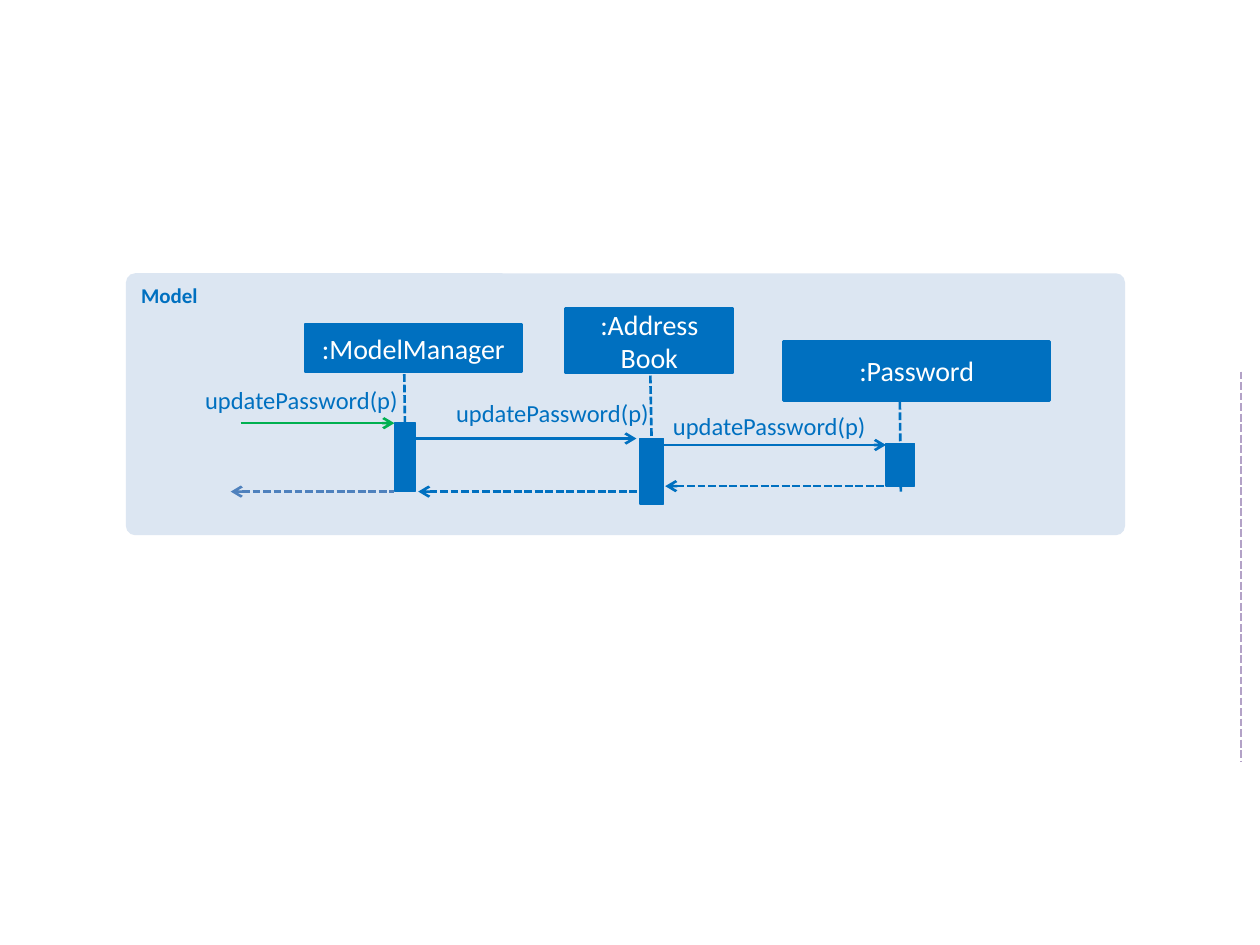
from typing import NamedTuple

from pptx import Presentation
from pptx import util as u
from pptx.dml.color import RGBColor
from pptx.enum import dml, shapes, text
from pptx.oxml.ns import qn
from lxml import etree

COLORS = {
    "panel": "DCE6F2",
    "model": "0070C0",
    "incoming": "00B050",
    "outgoing": "4F81BD",
    "divider": "B3A2C7",
    "white": "FFFFFF",
}
FONT = "Calibri"


class Box(NamedTuple):
    left: float
    top: float
    width: float
    height: float


class Participant(NamedTuple):
    lines: list[str]
    header: Box
    lifeline: tuple[float, float, float, float]
    activation: Box


class Message(NamedTuple):
    start: float
    end: float
    y: float
    color: str = "model"
    returns: bool = False


PARTICIPANTS = [
    Participant([":ModelManager"], Box(6.15, 6.53, 4.37, 0.97),
                (8.15, 7.54, 8.18, 9.91), Box(7.95, 8.53, 0.43, 1.37)),
    Participant([":Address", "Book"], Box(11.4, 6.22, 3.38, 1.3),
                (13.11, 7.57, 13.16, 10.13), Box(12.9, 8.84, 0.48, 1.32)),
    Participant([":Password"], Box(15.8, 6.88, 5.36, 1.19),
                (18.14, 8.1, 18.16, 9.91), Box(17.86, 8.94, 0.58, 0.86)),
]
MESSAGES = [
    Message(4.85, 7.95, 8.53, "incoming"),
    Message(8.38, 12.83, 8.84),
    Message(13.26, 17.86, 8.97),
    Message(8.43, 12.88, 9.91, returns=True),
    Message(4.65, 7.95, 9.91, "outgoing", returns=True),
    Message(13.41, 17.86, 9.8, returns=True),
]
CALL_LABELS = [(3.07, 7.77), (8.13, 8.03), (12.5, 8.28)]

prs = Presentation()
prs.slide_width, prs.slide_height = u.Cm(25.4), u.Cm(19.05)
slide = prs.slides.add_slide(prs.slide_layouts[6])


def rgb(name: str) -> RGBColor:
    return RGBColor.from_string(COLORS[name])


def write(frame, lines: list[str], size: int, color: str, align, bold: bool = False) -> None:
    for i, line in enumerate(lines):
        paragraph = frame.add_paragraph() if i else frame.paragraphs[0]
        paragraph.alignment = align
        run = paragraph.add_run()
        run.text = line
        run.font.name, run.font.size, run.font.bold = FONT, u.Pt(size), bold
        run.font.color.rgb = rgb(color)


def add_box(box: Box, fill: str, border: float = 0, kind=shapes.MSO_SHAPE.RECTANGLE):
    shape = slide.shapes.add_shape(kind, *map(u.Cm, box))
    shape.shadow.inherit = False
    shape.fill.solid()
    shape.fill.fore_color.rgb = rgb(fill)
    if border:
        shape.line.color.rgb = rgb(fill)
        shape.line.width = u.Pt(border)
    else:
        shape.line.fill.background()
    return shape


def add_line(x1: float, y1: float, x2: float, y2: float, color: str,
             dashed: bool = False, arrow: str = "") -> None:
    line = slide.shapes.add_connector(shapes.MSO_CONNECTOR.STRAIGHT,
                                      *map(u.Cm, (x1, y1, x2, y2)))
    line.line.color.rgb = rgb(color)
    line.line.width = u.Pt(1.5)
    if dashed:
        line.line.dash_style = dml.MSO_LINE.SQUARE_DOT
    if arrow:
        etree.SubElement(line.line._get_or_add_ln(), qn(f"a:{arrow}")).set("type", "arrow")
    etree.SubElement(line._element.spPr, qn("a:effectLst"))


# Component panel
panel = add_box(Box(2.54, 5.51, 20.14, 5.28), "panel",
                kind=shapes.MSO_SHAPE.ROUNDED_RECTANGLE)
panel.adjustments[0] = 0.035
panel.text_frame.vertical_anchor = text.MSO_ANCHOR.TOP
write(panel.text_frame, ["Model"], 12, "model", text.PP_ALIGN.LEFT, bold=True)

# Participants with lifelines and activation bars
for participant in PARTICIPANTS:
    header = add_box(participant.header, "model", 1.5)
    header.text_frame.vertical_anchor = text.MSO_ANCHOR.MIDDLE
    write(header.text_frame, participant.lines, 16, "white", text.PP_ALIGN.CENTER)
    add_line(*participant.lifeline, "model", dashed=True)
    add_box(participant.activation, "model", 0.75)

# Calls point right, returns point left
for message in MESSAGES:
    add_line(message.start, message.y, message.end, message.y, message.color,
             message.returns, "headEnd" if message.returns else "tailEnd")

# Call labels
for left, top in CALL_LABELS:
    label = slide.shapes.add_textbox(*map(u.Cm, (left, top, 4.95, 0.61)))
    frame = label.text_frame
    frame.word_wrap = True
    frame.auto_size = text.MSO_AUTO_SIZE.SHAPE_TO_FIT_TEXT
    frame.margin_left = frame.margin_right = frame.margin_top = frame.margin_bottom = 0
    write(frame, ["updatePassword(p)"], 14, "model", text.PP_ALIGN.RIGHT)

# Divider at the right edge
add_line(25.02, 7.49, 25.02, 15.37, "divider", dashed=True)

prs.save("out.pptx")
